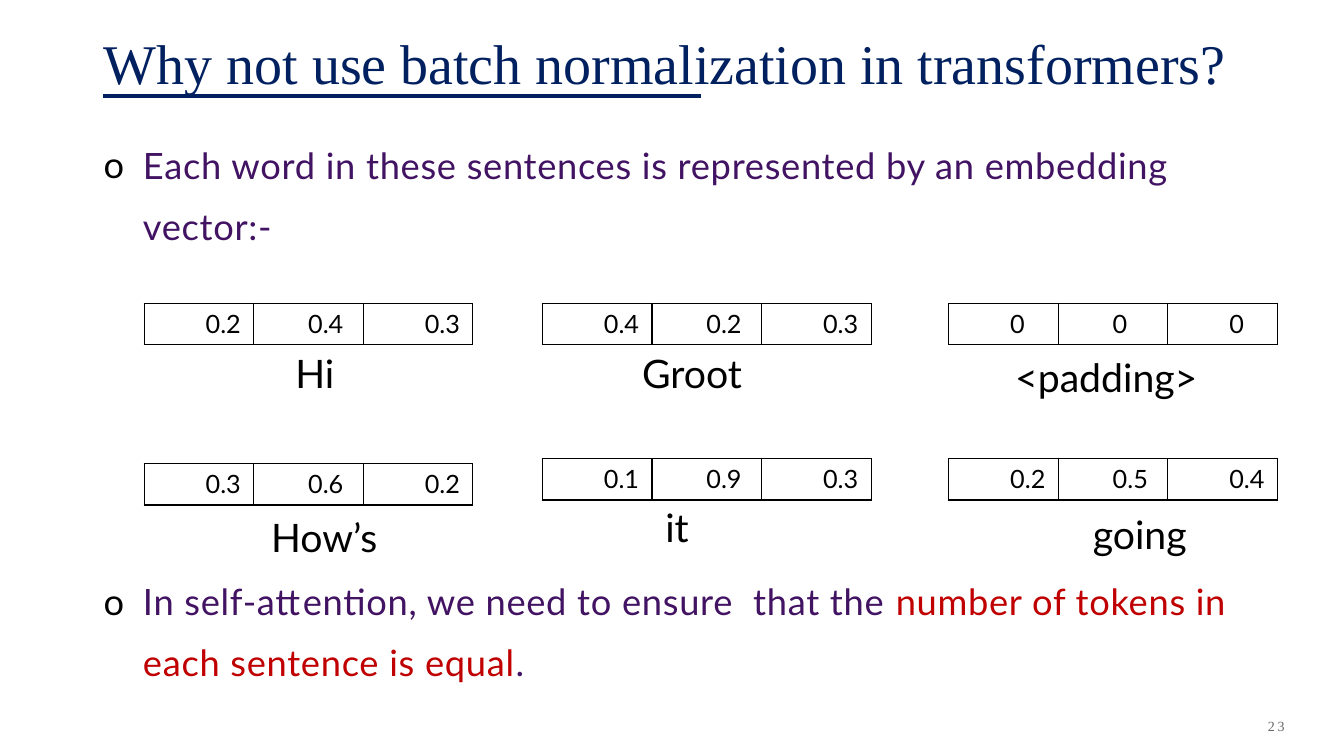
from pptx import Presentation
from pptx import util as u
from pptx.dml.color import RGBColor
from pptx.enum import shapes, text
from pptx.oxml import parse_xml
from pptx.oxml.ns import nsdecls, qn

COLORS = {"navy": "002060", "purple": "421363", "red": "C00000",
          "black": "000000", "grey": "666666"}
BODY, SERIF = "Lato", "Times New Roman"

EMBEDDINGS = [
    (1.43, 3.01, ("0.2", "0.4", "0.3")),
    (5.38, 3.01, ("0.4", "0.2", "0.3")),
    (9.41, 3.01, ("0", "0", "0")),
    (1.43, 4.6, ("0.3", "0.6", "0.2")),
    (5.38, 4.55, ("0.1", "0.9", "0.3")),
    (9.41, 4.55, ("0.2", "0.5", "0.4")),
]
WORDS = [
    ("Hi", 2.83, 3.42, 2.05),
    ("Groot", 6.27, 3.42, 1.39),
    ("<padding>", 9.97, 3.46, 2.34),
    ("How’s", 2.59, 5.04, 1.39),
    ("it", 6.5, 4.94, 1.39),
    ("going", 10.74, 5.01, 1.39),
]


def rgb(name):
    """Return the named colour."""
    return RGBColor.from_string(COLORS[name])


def add_text(p, content, size=28, font=BODY, color="black", spacing=None):
    """Add a formatted run to a paragraph."""
    r = p.add_run()
    r.text = content
    r.font.size, r.font.name = u.Pt(size), font
    r.font.color.rgb = rgb(color)
    if spacing:
        r.font._element.set("spc", str(int(spacing * 100)))


class SlideBuilder:
    """Hold the style and the current slide."""

    def __init__(self, prs):
        """Add a title-only slide."""
        self.s = prs.slides.add_slide(prs.slide_layouts[5])

    def title(self, content, x, y, w, h):
        """Place and format the title."""
        sp = self.s.shapes.title
        sp.left, sp.top, sp.width, sp.height = map(u.Inches, (x, y, w, h))
        tf = sp.text_frame
        tf.vertical_anchor = text.MSO_ANCHOR.BOTTOM
        tf.auto_size = text.MSO_AUTO_SIZE.NONE
        p = tf.paragraphs[0]
        p.alignment = text.PP_ALIGN.LEFT
        add_text(p, content, size=40, font=SERIF, color="navy")

    def line(self, x1, y1, x2, y2):
        """Draw a rule without a shadow."""
        sp = self.s.shapes.add_connector(
            shapes.MSO_CONNECTOR.STRAIGHT, *map(u.Inches, (x1, y1, x2, y2)))
        sp.line.color.rgb, sp.line.width = rgb("navy"), u.Pt(2.5)
        sp._element.spPr.append(parse_xml(f"<a:effectLst {nsdecls('a')}/>"))

    def box(self, x, y, w, h):
        """Add a wrapping text box and return its first paragraph."""
        tf = self.s.shapes.add_textbox(*map(u.Inches, (x, y, w, h))).text_frame
        tf.word_wrap = True
        return tf.paragraphs[0]

    def label(self, content, x, y, w):
        """Add the word under an embedding."""
        add_text(self.box(x, y, w, 0.57), content)

    def bullet(self, y, runs):
        """Add a bulleted statement made of coloured runs."""
        p = self.box(0.93, y, 11.53, 1.34)
        p.line_spacing = 1.4
        pPr = p._p.get_or_add_pPr()
        pPr.set("marL", str(u.Inches(0.39)))
        pPr.set("indent", str(-u.Inches(0.39)))
        for xml in (f'<a:buClr {nsdecls("a")}><a:srgbClr val="{COLORS["black"]}"/></a:buClr>',
                    f'<a:buFont {nsdecls("a")} typeface="{BODY}"/>',
                    f'<a:buChar {nsdecls("a")} char="o"/>'):
            pPr.append(parse_xml(xml))
        for content, color in runs:
            add_text(p, content, size=25.9, color=color, spacing=0.5)

    def vector(self, x, y, values):
        """Add a one-row embedding table."""
        tbl = self.s.shapes.add_table(
            1, len(values), *map(u.Inches, (x, y, 3.26, 0.41))).table
        tbl.first_row = tbl.horz_banding = False
        for i, value in enumerate(values):
            cell = tbl.cell(0, i)
            cell.margin_left = u.Inches(0.54 if i == 1 else 0.61)
            cell.margin_right = 0
            add_text(cell.text_frame.paragraphs[0], value, size=18)
            tcPr = cell._tc.get_or_add_tcPr()
            for side in ("lnL", "lnR", "lnT", "lnB"):
                tcPr.append(parse_xml(
                    f'<a:{side} {nsdecls("a")} w="{u.Pt(1)}"><a:solidFill>'
                    f'<a:srgbClr val="{COLORS["black"]}"/></a:solidFill></a:{side}>'))
            cell.fill.background()

    def page_number(self, content):
        """Add the page number at the lower right."""
        p = self.box(10.92, 6.95, 1.92, 0.5)
        p.alignment = text.PP_ALIGN.RIGHT
        p._p.getparent().find(qn("a:bodyPr")).set("anchor", "ctr")
        add_text(p, content, size=10, font=SERIF, color="grey", spacing=2)


def main():
    """Build and save the slide."""
    prs = Presentation()
    prs.slide_width, prs.slide_height = u.Inches(13.33), u.Inches(7.5)
    s = SlideBuilder(prs)
    s.line(1.02, 0.95, 6.95, 0.95)
    s.title("Why not use batch normalization in transformers?", 0.93, -0.22, 11.53, 1.22)
    s.bullet(1.2, [("Each word in these sentences is represented by an embedding vector:-",
                    "purple")])
    s.bullet(5.53, [("In self-attention, we need to ensure  that the ", "purple"),
                    ("number of tokens in each sentence is equal", "red"),
                    (".", "purple")])
    for x, y, values in EMBEDDINGS:
        s.vector(x, y, values)
    for word in WORDS:
        s.label(*word)
    s.page_number("23")
    prs.save("out.pptx")


if __name__ == "__main__":
    main()
